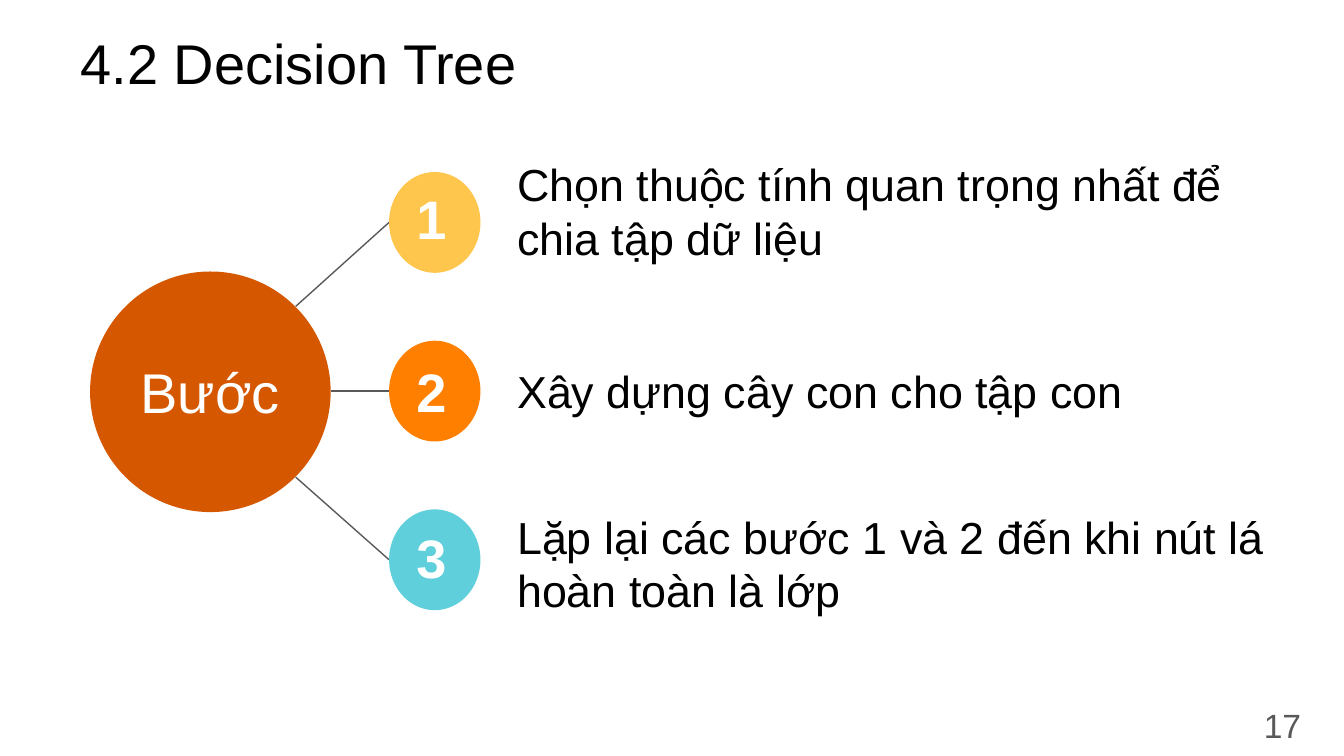
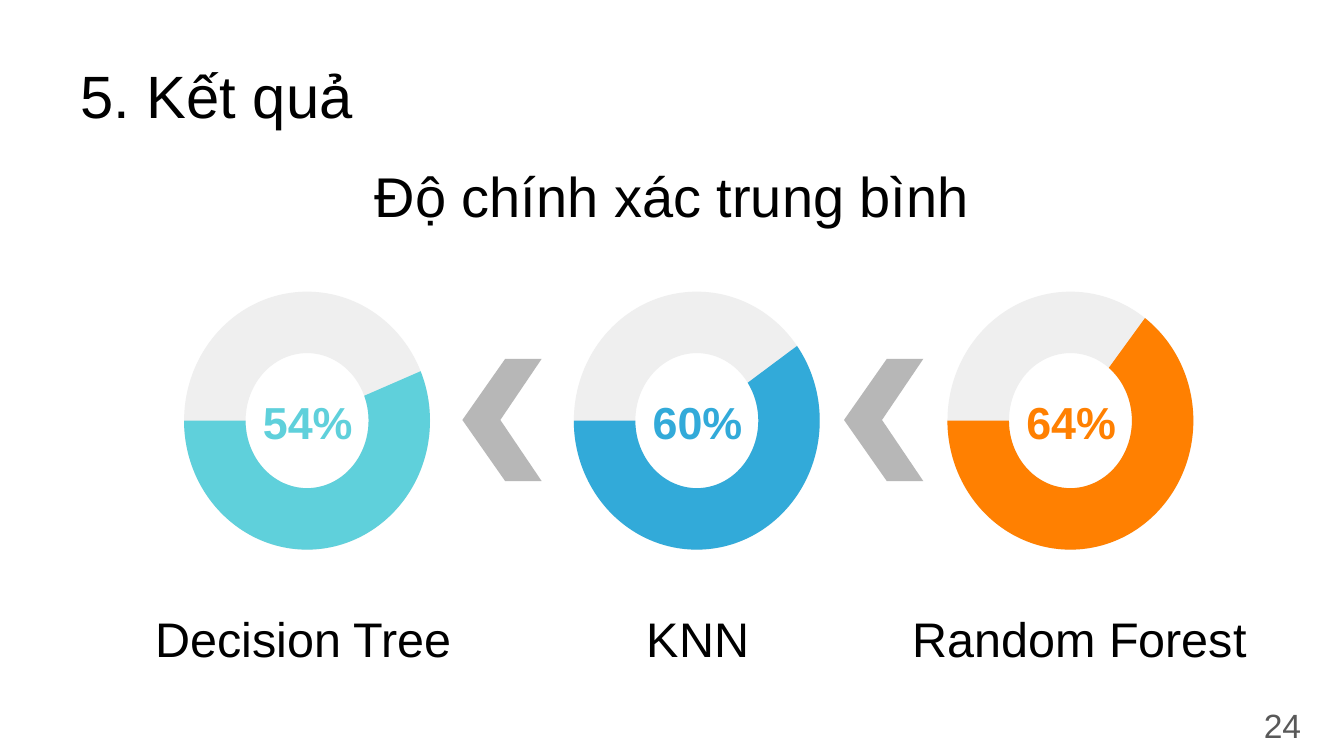
"""Two slides: the steps of a decision tree and the mean accuracy of three models."""
from dataclasses import dataclass

from lxml import etree
from pptx import Presentation, util as u
from pptx.dml.color import RGBColor
from pptx.enum import shapes, text
from pptx.oxml.ns import qn

COLS = 100
CELL = u.Inches(10) // COLS
ROWS = 56.25
LEFT, CENTER, RIGHT = text.PP_ALIGN.LEFT, text.PP_ALIGN.CENTER, text.PP_ALIGN.RIGHT


@dataclass(frozen=True)
class Theme:
    """Colours, font and type sizes of the deck."""
    font: str = "Arial"
    ink: str = "000000"
    white: str = "FFFFFF"
    gray: str = "595959"
    track: str = "EFEFEF"
    chevron: str = "B7B7B7"
    rust: str = "D55800"
    orange: str = "FF8001"
    yellow: str = "FFC64E"
    teal: str = "5FD0DB"
    blue: str = "32AAD9"
    section: int = 32
    title: int = 30
    number: int = 29
    label: int = 26
    body: int = 24
    page: int = 18


T = Theme()


def grid(*cells):
    """Turn columns and rows into lengths."""
    return [u.Emu(round(c * CELL)) for c in cells]


def write(s, content, size, color=T.ink, align=LEFT, bold=False,
          middle=True, inset=(1, 1)):
    """Fill a text frame with one formatted run."""
    tf = s.text_frame
    tf.word_wrap = True
    tf.auto_size = (text.MSO_AUTO_SIZE.NONE if middle
                    else text.MSO_AUTO_SIZE.SHAPE_TO_FIT_TEXT)
    tf.vertical_anchor = text.MSO_ANCHOR.MIDDLE if middle else text.MSO_ANCHOR.TOP
    dx, dy = grid(*inset)
    tf.margin_left = tf.margin_right = dx
    tf.margin_top = tf.margin_bottom = dy
    p = tf.paragraphs[0]
    p.alignment = align
    r = p.add_run()
    r.text = content
    r.font.name, r.font.size, r.font.bold = T.font, u.Pt(size), bold
    r.font.color.rgb = RGBColor.from_string(color)


def add_text(s, box, content, size, **style):
    """Add a text box."""
    write(s.shapes.add_textbox(*grid(*box)), content, size, **style)


def paint(sp, color):
    """Give a shape a flat fill with no line or shadow."""
    sp.shadow.inherit = False
    sp.fill.solid()
    sp.fill.fore_color.rgb = RGBColor.from_string(color)
    sp.line.fill.background()


def add_shape(s, kind, box, color, adjustments=()):
    """Add a flat preset shape."""
    sp = s.shapes.add_shape(kind, *grid(*box))
    for i, value in enumerate(adjustments):
        sp.adjustments[i] = value
    paint(sp, color)


def add_line(s, start, end):
    """Add a thin straight connector."""
    c = s.shapes.add_connector(shapes.MSO_CONNECTOR.STRAIGHT, *grid(*start, *end))
    c.line.color.rgb = RGBColor.from_string(T.gray)
    c.line.width = u.Pt(0.75)
    etree.SubElement(c._element.spPr, qn("a:effectLst"))


def add_chevron(s, x, y, w=5.9, h=9.1):
    """Add a chevron that points left."""
    notch, arm = x + 0.53 * w, x + 0.54 * w
    outline = [(x + w, y + h), (notch - 0.3, y + h / 2), (x + w, y),
               (arm, y), (x, y + h / 2), (arm, y + h)]
    points = [grid(*point) for point in outline]
    builder = s.shapes.build_freeform(*points[0])
    builder.add_line_segments(points[1:], close=True)
    paint(builder.convert_to_shape(), T.chevron)


def add_donut(s, x, start, share, color):
    """Add a ring whose coloured arc runs from a start angle to the left side."""
    box = (x, 21.7, 18.3, 19.2)
    for angle, fill in ((180, T.track), (start, color)):
        add_shape(s, shapes.MSO_SHAPE.BLOCK_ARC, box, fill,
                  (angle * 0.6, 107.99, 0.25))
    add_text(s, (x + 3.95, 29.1, 10.5, 4.5), share, T.body,
             color=color, align=CENTER, bold=True)


def new_slide(prs, title, top, page, align=LEFT):
    """Add a slide with its title and page number."""
    s = prs.slides.add_slide(prs.slide_layouts[5])
    t = s.shapes.title
    t.left, t.top, t.width, t.height = grid(5, top, 90, 5.3)
    write(t, title, T.title, align=align)
    add_text(s, (91.8, 51.8, 6, 4.3), page, T.page, color=T.gray, align=RIGHT)
    return s


def steps_slide(prs):
    """Build the hub with its three numbered steps."""
    s = new_slide(prs, "4.2 Decision Tree", 2, "17")
    steps = [
        (T.yellow, 12.8, 15.65, 59.9, 22.8, 22,
         "Chọn thuộc tính quan trọng nhất để chia tập dữ liệu"),
        (T.orange, 25.7, 29.05, 63.3, 29.1, 24.6, "Xây dựng cây con cho tập con"),
        (T.teal, 38, 41.9, 63.3, 35.5, 22,
         "Lặp lại các bước 1 và 2 đến khi nút lá hoàn toàn là lớp"),
    ]
    add_shape(s, shapes.MSO_SHAPE.OVAL, (6.7, 20.2, 17.9, 17.9), T.rust)
    add_text(s, (9, 25.6, 13.3, 7.1), "Bước", T.title, color=T.white,
             align=CENTER, middle=False)
    for i, (color, digit_y, mid, width, hub_y, hub_x, line) in enumerate(steps):
        top = 12.8 + 12.55 * i
        add_line(s, (hub_x, hub_y), (28.95, top + 3.75))
        add_shape(s, shapes.MSO_SHAPE.OVAL, (28.95, top, 6.8, 7.5), color)
        add_text(s, (30, digit_y, 4.8, 6.9), str(i + 1), T.number,
                 color=T.white, bold=True, middle=False)
        add_text(s, (37.5, mid - 2.2, width, 4.4), line, T.body)


def results_slide(prs):
    """Build the three accuracy rings and their labels."""
    s = new_slide(prs, "Độ chính xác trung bình", 11.9, "24", CENTER)
    add_text(s, (5, 3.4, 32.5, 7.4), "5. Kết quả", T.section, middle=False)
    models = [
        ("Decision Tree", 13.7, 336.5, "54%", T.teal, 8.8, 27.6),
        ("KNN", 42.7, 323.31, "60%", T.blue, 40.3, 23.3),
        ("Random Forest", 70.5, 306.02, "64%", T.orange, 65.7, 29.3),
    ]
    for name, x, start, share, color, label_x, label_w in models:
        add_donut(s, x, start, share, color)
        add_text(s, (label_x, 45.4, label_w, 4.2), name, T.label,
                 align=CENTER, inset=(2, 0))
    for x in (34.4, 62.8):
        add_chevron(s, x, 26.7)


def main():
    """Build and save the deck."""
    prs = Presentation()
    prs.slide_width, prs.slide_height = grid(COLS, ROWS)
    steps_slide(prs)
    results_slide(prs)
    prs.save("out.pptx")


if __name__ == "__main__":
    main()
